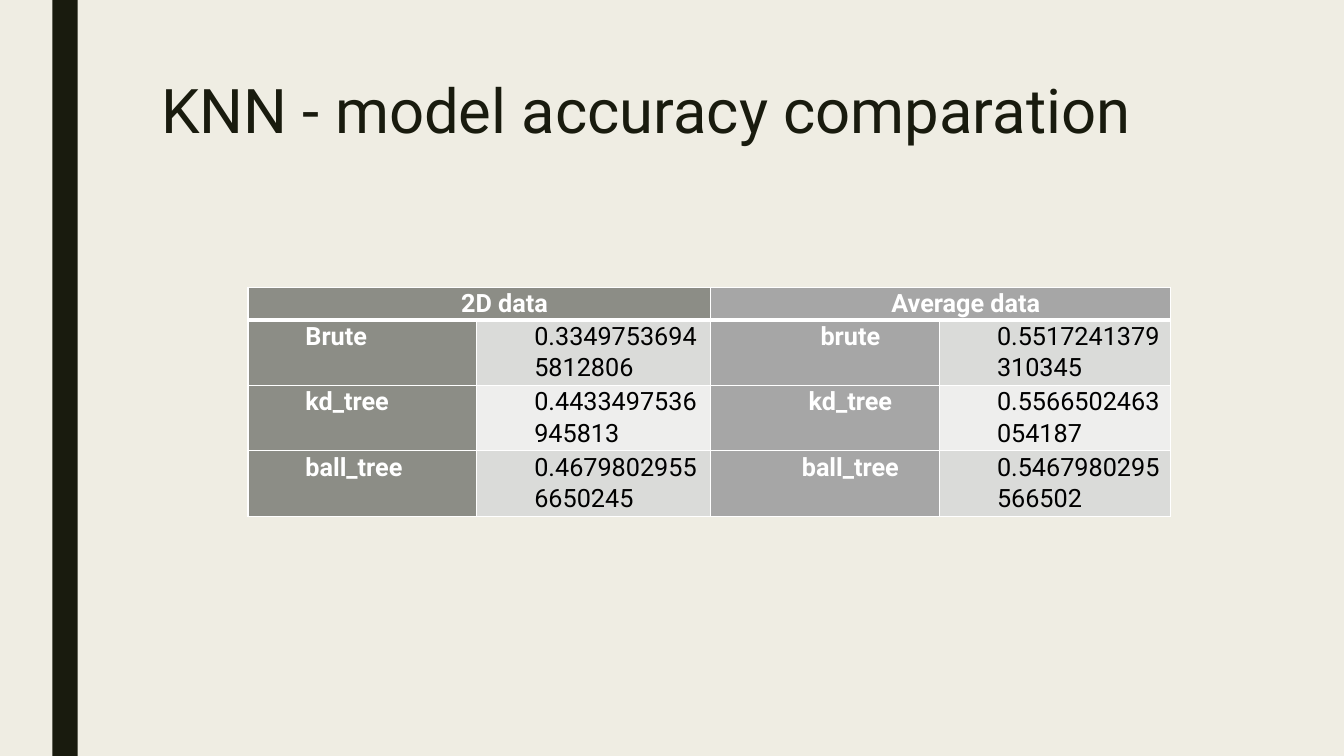
from dataclasses import dataclass

from lxml.etree import SubElement
from pptx import Presentation
from pptx.dml.color import RGBColor
from pptx.enum.shapes import MSO_SHAPE as Shape
from pptx.enum.text import MSO_ANCHOR as Anchor, PP_ALIGN as Align
from pptx.oxml.ns import qn
from pptx.util import Inches, Pt


@dataclass(frozen=True)
class Theme:
    font: str = "Roboto"
    title_size: int = 44
    table_size: int = 18
    background: str = "EFEDE3"
    dark: str = "191B0E"
    white: str = "FFFFFF"
    black: str = "000000"
    labels: tuple = ("8C8D86", "A6A6A6")
    bands: tuple = ("DADBD9", "EEEEED")


THEME = Theme()
GROUPS = [
    ("2D data", Align.LEFT, [
        ("Brute", "0.33497536945812806"),
        ("kd_tree", "0.4433497536945813"),
        ("ball_tree", "0.46798029556650245"),
    ]),
    ("Average data", Align.CENTER, [
        ("brute", "0.5517241379310345"),
        ("kd_tree", "0.5566502463054187"),
        ("ball_tree", "0.5467980295566502"),
    ]),
]
COLUMN_WIDTHS = (2.27, 2.32, 2.27, 2.29)
HEADER_HEIGHT = 0.32
ROW_HEIGHT = 0.65


def rgb(value):
    return RGBColor.from_string(value)


def style_font(font, size, color, bold=False):
    font.name = THEME.font
    font.size = Pt(size)
    font.color.rgb = rgb(color)
    font.bold = bold


def add_side_bar(slide, left, top, width, height):
    bar = slide.shapes.add_shape(
        Shape.RECTANGLE, Inches(left), Inches(top), Inches(width), Inches(height))
    bar.shadow.inherit = False
    bar.fill.solid()
    bar.fill.fore_color.rgb = rgb(THEME.dark)
    bar.line.fill.background()


def add_title(slide, text, left, top, width, height):
    box = slide.shapes.add_textbox(
        Inches(left), Inches(top), Inches(width), Inches(height))
    frame = box.text_frame
    frame.word_wrap = True
    frame.vertical_anchor = Anchor.TOP
    frame.text = text
    paragraph = frame.paragraphs[0]
    paragraph.line_spacing = 0.89
    style_font(paragraph.runs[0].font, THEME.title_size, THEME.dark)


def add_borders(cell, top=1, bottom=1):
    """Draw white cell borders; call before filling, as fills follow lines."""
    properties = cell._tc.get_or_add_tcPr()
    for side, points in (("L", 1), ("R", 1), ("T", top), ("B", bottom)):
        line = SubElement(properties, qn(f"a:ln{side}"), w=str(Pt(points)))
        fill = SubElement(line, qn("a:solidFill"))
        SubElement(fill, qn("a:srgbClr"), val=THEME.white)


def fill_cell(cell, text, fill, color=THEME.white, bold=True, align=Align.LEFT):
    cell.margin_left = cell.margin_right = Inches(0.07)
    cell.margin_top = cell.margin_bottom = 0
    cell.fill.solid()
    cell.fill.fore_color.rgb = rgb(fill)
    cell.text_frame.text = text
    paragraph = cell.text_frame.paragraphs[0]
    paragraph._p.get_or_add_pPr().set("marL", str(Inches(0.5)))
    paragraph.alignment = align
    paragraph.line_spacing = 1.07
    style_font(paragraph.runs[0].font, THEME.table_size, color, bold)


def add_accuracy_table(slide, left, top):
    row_heights = [HEADER_HEIGHT] + [ROW_HEIGHT] * len(GROUPS[0][2])
    table = slide.shapes.add_table(
        len(row_heights), len(COLUMN_WIDTHS), Inches(left), Inches(top),
        Inches(sum(COLUMN_WIDTHS)), Inches(sum(row_heights))).table
    for column, width in zip(table.columns, COLUMN_WIDTHS):
        column.width = Inches(width)
    for index, (row, height) in enumerate(zip(table.rows, row_heights)):
        row.height = Inches(height)
        for cell in row.cells:
            add_borders(cell, top=3 if index == 1 else 1, bottom=3 if index == 0 else 1)

    for group, (heading, align, scores) in enumerate(GROUPS):
        column = 2 * group
        label_fill = THEME.labels[group]
        header = table.cell(0, column)
        header.merge(table.cell(0, column + 1))
        fill_cell(header, heading, label_fill, align=Align.CENTER)
        for row, (algorithm, accuracy) in enumerate(scores, start=1):
            fill_cell(table.cell(row, column), algorithm, label_fill, align=align)
            fill_cell(table.cell(row, column + 1), accuracy,
                      THEME.bands[(row - 1) % 2], THEME.black, bold=False)


def main():
    presentation = Presentation()
    presentation.slide_width = Inches(13.33)
    presentation.slide_height = Inches(7.5)
    slide = presentation.slides.add_slide(presentation.slide_layouts[6])
    slide.background.fill.solid()
    slide.background.fill.fore_color.rgb = rgb(THEME.background)
    add_side_bar(slide, 0.52, 0, 0.25, 7.5)
    add_title(slide, "KNN - model accuracy comparation", 1.5, 0.75, 10.5, 1.62)
    add_accuracy_table(slide, 2.46, 2.85)
    presentation.save("out.pptx")


if __name__ == "__main__":
    main()
